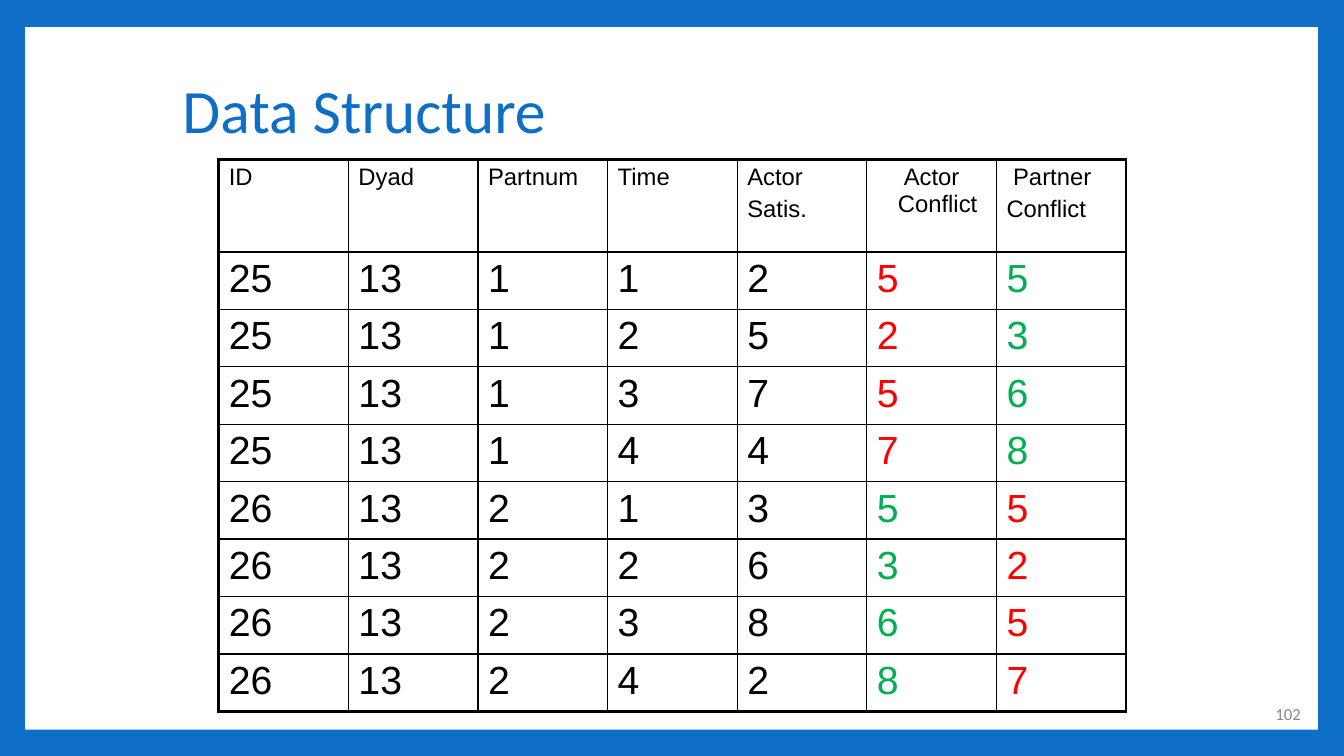
from lxml.etree import SubElement
from pptx import Presentation
from pptx.dml.color import RGBColor
from pptx.enum.shapes import MSO_SHAPE
from pptx.enum.text import MSO_ANCHOR, PP_ALIGN
from pptx.oxml.ns import qn
from pptx.util import Inches, Pt

BLUE, WHITE, BLACK, GREY = "0F6FC6", "FFFFFF", "000000", "898989"
RED, GREEN = "FF0000", "00B050"
HEADINGS = ["ID", "Dyad", "Partnum", "Time", "Actor\nSatis.",
            "Actor Conflict", " Partner\nConflict"]
PERSONS = [(25, 13, 1), (26, 13, 2)]
SATISFACTION = [(2, 5, 7, 4), (3, 6, 8, 2)]
CONFLICT = [(5, 2, 5, 7), (5, 3, 6, 8)]
CONFLICT_COLOURS = [RED, GREEN]
HEADING_HEIGHT, ROW_HEIGHT = 0.92, 0.57


def colour(hex_string):
    """Turn a hex string into a colour."""
    return RGBColor.from_string(hex_string)


def format_text(paragraph, font_name, size, ink, align=PP_ALIGN.LEFT):
    """Format a paragraph and its runs."""
    paragraph.alignment = align
    for run in paragraph.runs:
        run.font.name = font_name
        run.font.size = Pt(size)
        run.font.color.rgb = colour(ink)


def add_frame(slide, left, top, width, height):
    """Colour the background and lay the white panel behind everything."""
    slide.background.fill.solid()
    slide.background.fill.fore_color.rgb = colour(BLUE)
    panel = slide.shapes.add_shape(MSO_SHAPE.RECTANGLE, Inches(left), Inches(top),
                                   Inches(width), Inches(height))
    panel.shadow.inherit = False
    panel.fill.solid()
    panel.fill.fore_color.rgb = colour(WHITE)
    panel.line.fill.background()
    slide.shapes._spTree.insert(2, panel._element)


def add_title(slide, left, top, width, height):
    """Place and format the title."""
    title = slide.shapes.title
    title.left, title.top = Inches(left), Inches(top)
    title.width, title.height = Inches(width), Inches(height)
    title.text_frame.text = "Data Structure"
    title.text_frame.vertical_anchor = MSO_ANCHOR.MIDDLE
    heading = title.text_frame.paragraphs[0]
    heading.line_spacing = 0.9
    format_text(heading, "Calibri", 44, BLUE)


def data_rows():
    """List each row as (value, colour) pairs, one row per person and time."""
    rows = []
    for actor, person in enumerate(PERSONS):
        partner = 1 - actor
        for time, satisfaction in enumerate(SATISFACTION[actor]):
            row = [(value, BLACK) for value in (*person, time + 1, satisfaction)]
            row += [(CONFLICT[member][time], CONFLICT_COLOURS[member])
                    for member in (actor, partner)]
            rows.append(row)
    return rows


def set_borders(cell, outer_edges):
    """Draw four black borders, thicker on the outer edges."""
    properties = cell._tc.get_or_add_tcPr()
    for edge in "LRTB":
        width = Pt(2.25 if edge in outer_edges else 1)
        border = SubElement(properties, qn(f"a:ln{edge}"), w=str(width))
        solid = SubElement(border, qn("a:solidFill"))
        SubElement(solid, qn("a:srgbClr"), val=BLACK)


def fill_cell(cell, content, size, ink, align):
    """Write a cell's text with a hanging indent and no fill."""
    cell.text_frame.text = str(content)
    cell.fill.background()
    for index, paragraph in enumerate(cell.text_frame.paragraphs):
        indents = paragraph._p.get_or_add_pPr()
        indents.set("marL", str(Inches(0.12)))
        indents.set("indent", str(Inches(-0.12)))
        paragraph.space_before = Pt(0.2 * size if index else 0)
        format_text(paragraph, "Arial", size, ink, align)


def add_data_table(slide, left, top, width):
    """Build the table of dyad members over time."""
    rows = [[(heading, BLACK) for heading in HEADINGS]] + data_rows()
    last_row, last_column = len(rows) - 1, len(HEADINGS) - 1
    height = HEADING_HEIGHT + ROW_HEIGHT * last_row
    table = slide.shapes.add_table(len(rows), len(HEADINGS), Inches(left), Inches(top),
                                   Inches(width), Inches(height)).table
    table.first_row = table.horz_banding = False
    for column in table.columns:
        column.width = Inches(width / len(HEADINGS))
    for r, row in enumerate(rows):
        table.rows[r].height = Inches(ROW_HEIGHT if r else HEADING_HEIGHT)
        for c, (content, ink) in enumerate(row):
            outer_edges = [edge for edge, is_outer in zip(
                "LRTB", (c == 0, c == last_column, r == 0, r == last_row)) if is_outer]
            cell = table.cell(r, c)
            set_borders(cell, outer_edges)
            centred = content == "Actor Conflict"
            fill_cell(cell, content, 28 if r else 17, ink,
                      PP_ALIGN.CENTER if centred else PP_ALIGN.LEFT)


def add_page_number(slide, left, top, width, height):
    """Write the page number in the lower right corner."""
    page_number = slide.shapes.add_textbox(Inches(left), Inches(top),
                                           Inches(width), Inches(height)).text_frame
    page_number.word_wrap = True
    page_number.vertical_anchor = MSO_ANCHOR.MIDDLE
    page_number.text = "102"
    format_text(page_number.paragraphs[0], "Calibri", 12, GREY, PP_ALIGN.RIGHT)


def main():
    """Build and save the slide."""
    presentation = Presentation()
    presentation.slide_width, presentation.slide_height = Inches(13.33), Inches(7.5)
    slide = presentation.slides.add_slide(presentation.slide_layouts[5])
    add_frame(slide, 0.25, 0.27, 12.82, 6.97)
    add_title(slide, 1.71, 0.5, 11.33, 1.25)
    add_data_table(slide, 2.17, 1.58, 9)
    add_page_number(slide, 10.22, 6.83, 2.78, 0.5)
    presentation.save("out.pptx")


if __name__ == "__main__":
    main()
